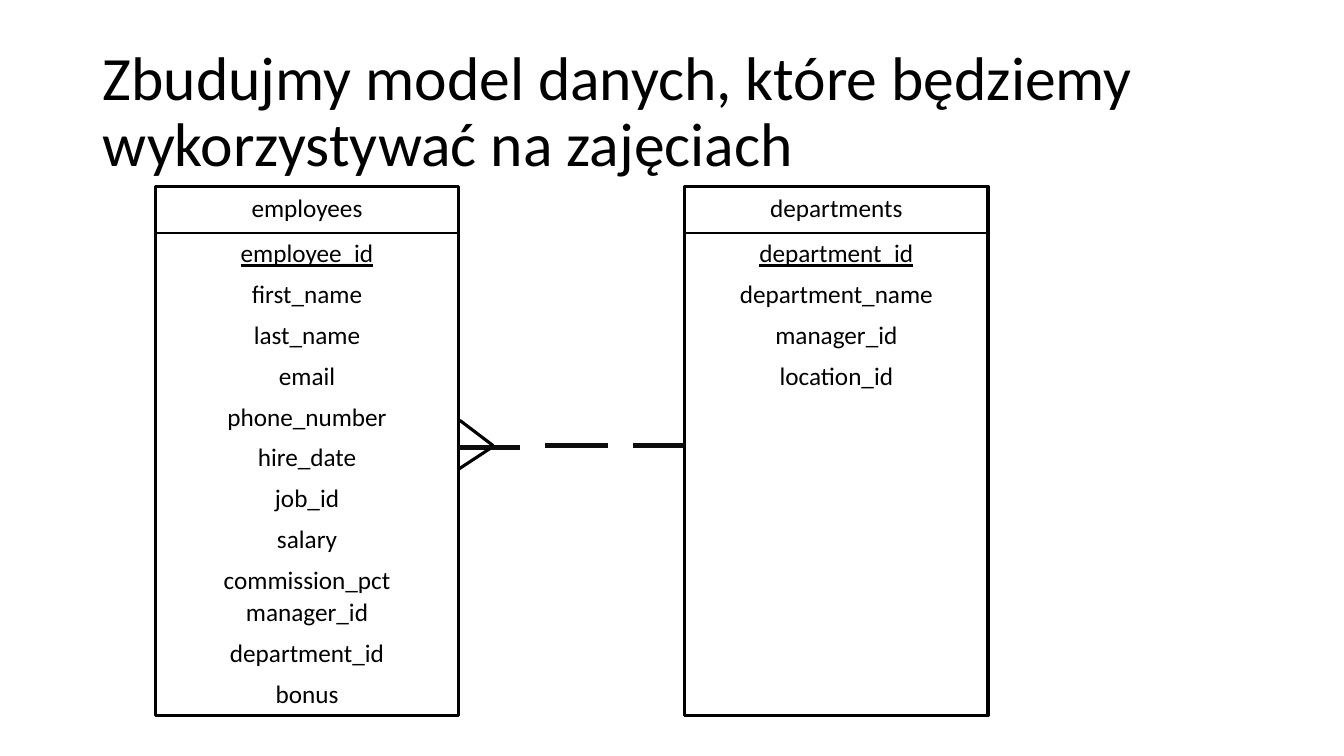
"""Build a slide with a two-entity data model joined by a crow's foot relation."""
from lxml.etree import SubElement
from pptx import Presentation
from pptx.dml.color import RGBColor
from pptx.enum.shapes import MSO_CONNECTOR, MSO_SHAPE
from pptx.enum.text import MSO_ANCHOR, PP_ALIGN
from pptx.oxml.ns import qn
from pptx.util import Inches, Pt

TITLE = "Zbudujmy model danych, które będziemy wykorzystywać na zajęciach"
ENTITIES = [
    {"name": "employees", "left": 1.54, "groups": [
        (2.31, ["employee_id", "first_name", "last_name", "email", "phone_number",
                "hire_date", "job_id", "salary", "commission_pct"]),
        (5.87, ["manager_id", "department_id", "bonus"])]},
    {"name": "departments", "left": 6.79, "groups": [
        (2.31, ["department_id", "department_name", "manager_id", "location_id"])]},
]
KEYS = {("employees", "employee_id"), ("departments", "department_id")}
DASHES = [(4.54, 5.16, 4.44), (5.41, 6.03, 4.42), (6.28, 6.79, 4.42)]
CROW_FOOT = [((4.54, 4.66), (4.86, 4.45)), ((4.56, 4.17), (4.89, 4.42))]
COLOURS = {"ink": "000000", "paper": "FFFFFF", "dash": "0D0D0D"}
FONT = "Calibri"
ENTITY_TOP, ENTITY_WIDTH, ENTITY_HEIGHT = 1.85, 3.01, 5.25
HEADER_BOTTOM = 2.31
ROW_HEIGHT, ROW_STEP = 0.4, 0.4045


def colour(role):
    return RGBColor.from_string(COLOURS[role])


def add_text(words, box, size, underline=None, align=PP_ALIGN.CENTER,
             anchor=MSO_ANCHOR.TOP, spacing=None):
    frame = slide.shapes.add_textbox(*map(Inches, box)).text_frame
    frame.word_wrap = True
    frame.vertical_anchor = anchor
    paragraph = frame.paragraphs[0]
    paragraph.alignment = align
    paragraph.line_spacing = spacing
    run = paragraph.add_run()
    run.text = words
    run.font.name = FONT
    run.font.size = Pt(size)
    run.font.underline = underline
    run.font.color.rgb = colour("ink")


def add_line(start, end, width, role="ink"):
    line = slide.shapes.add_connector(MSO_CONNECTOR.STRAIGHT, *map(Inches, start + end))
    line.line.color.rgb = colour(role)
    line.line.width = Pt(width)
    SubElement(line._element.spPr, qn("a:effectLst"))


def add_entity(name, left, groups):
    frame = slide.shapes.add_shape(
        MSO_SHAPE.RECTANGLE,
        *map(Inches, (left, ENTITY_TOP, ENTITY_WIDTH, ENTITY_HEIGHT)))
    frame.shadow.inherit = False
    frame.fill.solid()
    frame.fill.fore_color.rgb = colour("paper")
    frame.line.color.rgb = colour("ink")
    frame.line.width = Pt(2.25)
    add_line((left, HEADER_BOTTOM), (left + ENTITY_WIDTH, HEADER_BOTTOM), 1.5)
    add_text(name, (left, ENTITY_TOP + 0.01, ENTITY_WIDTH, ROW_HEIGHT), 18)
    for top, fields in groups:
        for row, field in enumerate(fields):
            box = (left, top + row * ROW_STEP, ENTITY_WIDTH, ROW_HEIGHT)
            add_text(field, box, 18, underline=(name, field) in KEYS or None)


deck = Presentation()
deck.slide_width, deck.slide_height = Inches(13.33), Inches(7.5)
slide = deck.slides.add_slide(deck.slide_layouts[6])

add_text(TITLE, (0.92, 0.4, 11.5, 1.45), 44, align=PP_ALIGN.LEFT,
         anchor=MSO_ANCHOR.MIDDLE, spacing=0.9)
for entity in ENTITIES:
    add_entity(**entity)
for start, end, height in DASHES:
    add_line((start, height), (end, height), 3, "dash")
for toe, heel in CROW_FOOT:
    add_line(toe, heel, 2.25)

deck.save("out.pptx")
